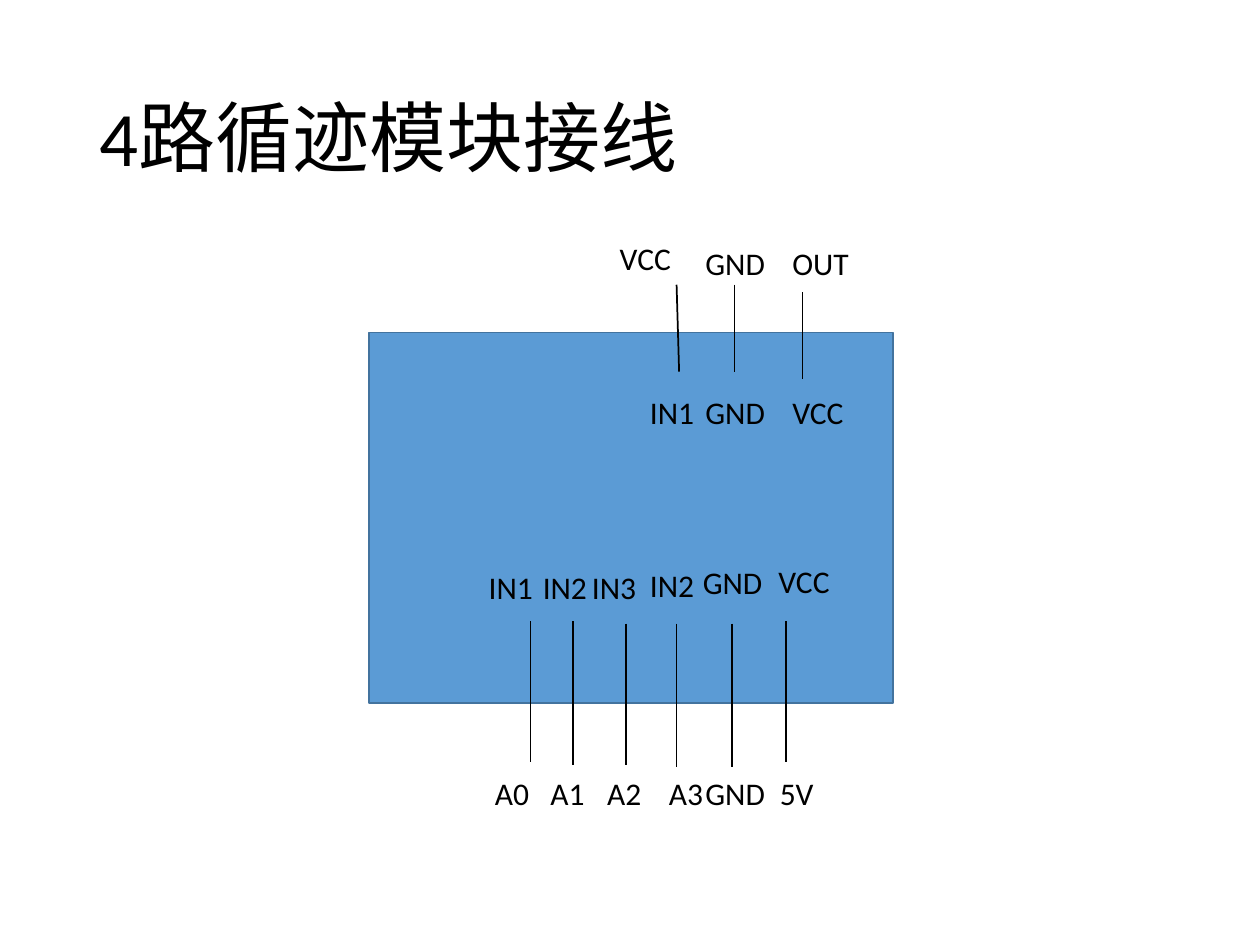
from dataclasses import dataclass

from lxml.etree import SubElement
from pptx import Presentation
from pptx.dml.color import RGBColor
from pptx.enum.shapes import MSO_CONNECTOR, MSO_SHAPE
from pptx.enum.text import MSO_ANCHOR, MSO_AUTO_SIZE
from pptx.oxml.ns import qn
from pptx.util import Inches, Pt


@dataclass(frozen=True)
class Theme:
    font: str = "Calibri"
    ink: RGBColor = RGBColor(0x00, 0x00, 0x00)
    board: RGBColor = RGBColor(0x5B, 0x9B, 0xD5)
    edge: RGBColor = RGBColor(0x43, 0x73, 0x9E)
    title: Pt = Pt(44)
    label: Pt = Pt(18)
    line: Pt = Pt(1)


THEME = Theme()
LABEL_H = 0.4

# Each label: text, left, top, width
SENSOR_LABELS = [
    ("VCC", 4.82, 1.85, 0.79),
    ("GND", 5.5, 1.89, 0.74),
    ("OUT", 6.19, 1.89, 0.9),
]
BOARD_TOP_LABELS = [
    ("IN1", 5.06, 3.07, 0.55),
    ("GND", 5.5, 3.07, 0.71),
    ("VCC", 6.19, 3.07, 0.66),
]
BOARD_BOTTOM_LABELS = [
    ("IN1", 3.78, 4.46, 0.55),
    ("IN2", 4.21, 4.46, 0.77),
    ("IN3", 4.6, 4.46, 0.77),
    ("IN2", 5.06, 4.44, 0.77),
    ("GND", 5.48, 4.42, 0.77),
    ("VCC", 6.08, 4.41, 0.77),
]
CONTROLLER_LABELS = [
    ("A0", 3.83, 6.09, 0.55),
    ("A1", 4.27, 6.09, 0.55),
    ("A2", 4.72, 6.09, 0.55),
    ("A3", 5.21, 6.09, 0.55),
    ("GND", 5.5, 6.09, 0.77),
    ("5V", 6.09, 6.09, 0.55),
]
# Each wire: x1, y1, x2, y2
SENSOR_WIRES = [
    (5.37, 2.26, 5.39, 2.95),
    (5.83, 2.26, 5.83, 2.95),
    (6.37, 2.32, 6.37, 3.01),
]
# Each vertical wire: x, top, bottom
CONTROLLER_WIRES = [
    (4.21, 4.93, 6.05),
    (4.55, 4.93, 6.07),
    (4.97, 4.95, 6.07),
    (5.37, 4.95, 6.09),
    (5.81, 4.95, 6.09),
    (6.24, 4.93, 6.05),
]


def add_text(slide, text, box, size, **frame):
    """Add a one-paragraph text box; frame holds text frame settings."""
    tf = slide.shapes.add_textbox(*map(Inches, box)).text_frame
    for name, value in {"word_wrap": True, **frame}.items():
        setattr(tf, name, value)
    p = tf.paragraphs[0]
    r = p.add_run()
    r.text = text
    for name, value in {"name": THEME.font, "size": size}.items():
        setattr(r.font, name, value)
    r.font.color.rgb = THEME.ink
    return p


def add_title(slide, text):
    p = add_text(slide, text, (0.69, 0.4, 8.62, 1.45), THEME.title,
                 vertical_anchor=MSO_ANCHOR.MIDDLE)
    p.line_spacing = 0.9


def add_label(slide, text, left, top, width):
    add_text(slide, text, (left, top, width, LABEL_H), THEME.label,
             auto_size=MSO_AUTO_SIZE.SHAPE_TO_FIT_TEXT)


def add_board(slide, box):
    sp = slide.shapes.add_shape(MSO_SHAPE.RECTANGLE, *map(Inches, box))
    sp.shadow.inherit = False
    sp.fill.solid()
    sp.fill.fore_color.rgb = THEME.board
    sp.line.color.rgb = THEME.edge
    sp.line.width = THEME.line


def add_wire(slide, *ends):
    wire = slide.shapes.add_connector(MSO_CONNECTOR.STRAIGHT,
                                      *map(Inches, ends))
    wire.line.color.rgb = THEME.ink
    wire.line.width = THEME.line
    SubElement(wire._element.spPr, qn("a:effectLst"))


def main():
    prs = Presentation()
    prs.slide_width, prs.slide_height = Inches(10), Inches(7.5)
    slide = prs.slides.add_slide(prs.slide_layouts[6])

    add_title(slide, "4路循迹模块接线")
    add_board(slide, (2.93, 2.64, 4.16, 2.94))
    for ends in SENSOR_WIRES:
        add_wire(slide, *ends)
    for x, top, bottom in CONTROLLER_WIRES:
        add_wire(slide, x, top, x, bottom)
    for label in (BOARD_BOTTOM_LABELS + BOARD_TOP_LABELS
                  + SENSOR_LABELS + CONTROLLER_LABELS):
        add_label(slide, *label)

    prs.save("out.pptx")


if __name__ == "__main__":
    main()
